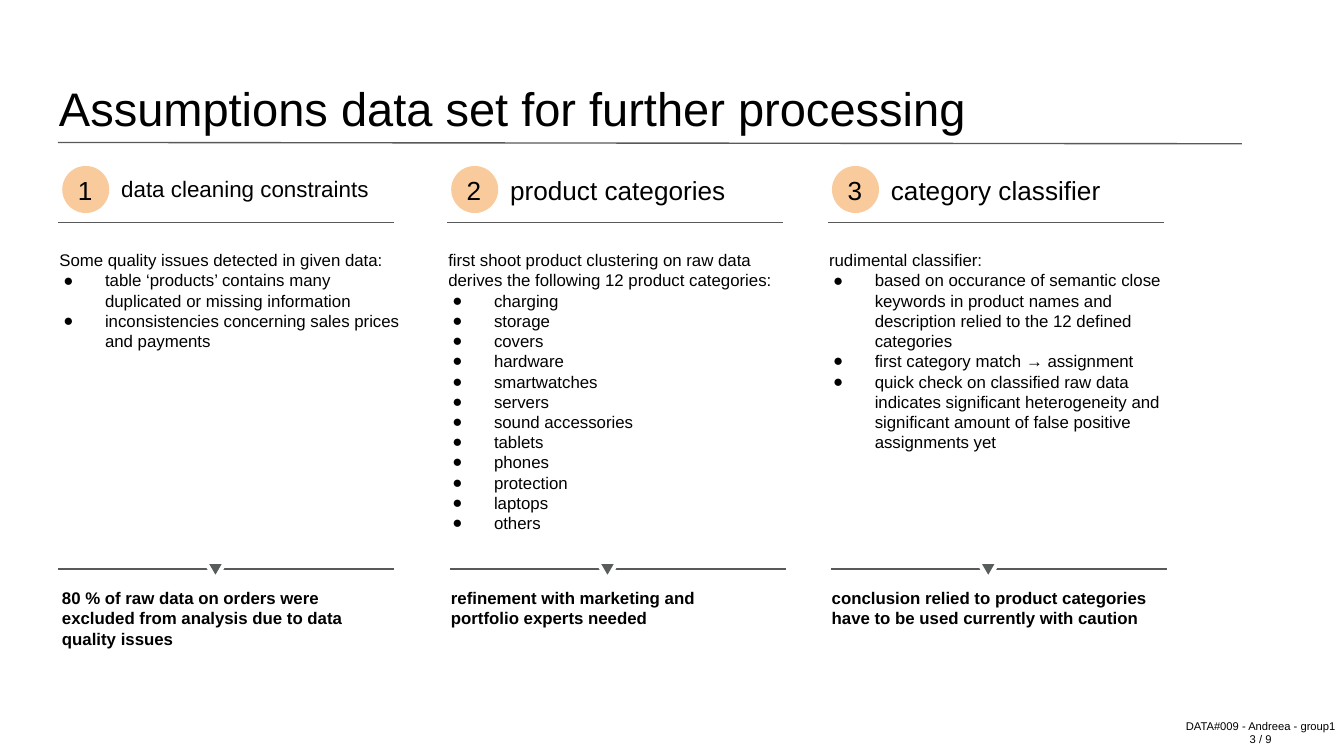
from lxml.etree import SubElement
from pptx import Presentation
from pptx.dml.color import RGBColor as Color
from pptx.enum.shapes import MSO_CONNECTOR as Link, MSO_SHAPE as Form
from pptx.enum.text import MSO_ANCHOR as Anchor, MSO_AUTO_SIZE as Fit, PP_ALIGN as Align
from pptx.oxml.ns import qn
from pptx.util import Inches, Pt

COLORS = {"text": "000000", "rule": "595959", "marker": "595C5D",
          "badge": "F9CB9C", "page": "FFFFFF"}
FONT = "Arial"
COLUMNS, ROWS = 100, 56.25  # square grid cells of a tenth of an inch
CELL = Inches(0.1)


def cells(*counts):
    return [round(count * CELL) for count in counts]


def color(name):
    return Color.from_string(COLORS[name])


def write(para, text, size=9, bold=False, align=Align.LEFT, bullet=False):
    """Fill one paragraph with formatted text."""
    para.alignment = align
    if bullet:
        props = para._p.get_or_add_pPr()
        props.set("marL", str(Inches(0.34)))
        props.set("indent", str(Inches(-0.31)))
        tint = SubElement(props, qn("a:buClr"))
        SubElement(tint, qn("a:srgbClr"), val=COLORS["text"])
        SubElement(props, qn("a:buSzPts"), val=str(size * 100))
        SubElement(props, qn("a:buFont"), typeface=FONT)
        SubElement(props, qn("a:buChar"), char="●")
    span = para.add_run()
    span.text = text
    span.font.name = FONT
    span.font.size = Pt(size)
    span.font.bold = bold
    span.font.color.rgb = color("text")


class Sheet:
    """Holds the style and the current slide; lengths are grid cells."""

    def __init__(self, deck):
        self.page = deck.slides.add_slide(deck.slide_layouts[6])
        self.page.background.fill.solid()
        self.page.background.fill.fore_color.rgb = color("page")

    def text(self, left, top, width, height, lines, bullets=(),
             anchor=Anchor.TOP, fit=Fit.SHAPE_TO_FIT_TEXT, **style):
        box = self.page.shapes.add_textbox(*cells(left, top, width, height))
        frame = box.text_frame
        frame.word_wrap = True
        frame.auto_size = fit
        frame.vertical_anchor = anchor
        frame.margin_left = frame.margin_right = CELL
        frame.margin_top = frame.margin_bottom = CELL
        for index, line in enumerate([*lines, *bullets]):
            para = frame.add_paragraph() if index else frame.paragraphs[0]
            write(para, line, bullet=index >= len(lines), **style)

    def rule(self, left, top, right, bottom):
        line = self.page.shapes.add_connector(
            Link.STRAIGHT, *cells(left, top, right, bottom))
        line.line.color.rgb = color("rule")
        line.line.width = Pt(0.75)
        SubElement(line._element.spPr, qn("a:effectLst"))

    def shape(self, form, left, top, width, height, fill, outline=None, turn=0):
        shape = self.page.shapes.add_shape(form, *cells(left, top, width, height))
        shape.shadow.inherit = False
        shape.rotation = turn
        shape.fill.solid()
        shape.fill.fore_color.rgb = color(fill)
        if outline:
            shape.line.color.rgb = color(outline)
            shape.line.width = Pt(2.25)
        else:
            shape.line.fill.background()

    def column(self, number, left, foot, heading, size, intro, bullets, note):
        # Numbered heading
        self.rule(left, 16.55, left + 25, 16.55)
        self.text(left + 3.7, 12, 21.9, 4.4, [heading], size=size)
        self.shape(Form.OVAL, left + 0.3, 12.35, 3.5, 3.5, "badge")
        self.text(left - 0.1, 12, 4.2, 4.4, [str(number)], size=14,
                  align=Align.CENTER)
        # Details
        body_height = 2 + 1.5 * (len(bullets) + 2)
        self.text(left - 0.9, 17.6, 27.9, body_height, [intro], bullets)
        # Conclusion below a rule with a marker
        self.rule(foot, 42.35, foot + 25, 42.35)
        self.shape(Form.ISOSCELES_TRIANGLE, foot + 10.95, 41.8, 1.5, 1.3,
                   "marker", outline="page", turn=180)
        self.text(left - 0.7, 42.75, 25.4, 5, [note], bold=True)


TOPICS = [
    (4.33, 4.33, "data cleaning constraints", 12,
     "Some quality issues detected in given data:",
     ["table ‘products’ contains many duplicated or missing information",
      "inconsistencies concerning sales prices and payments"],
     "80 % of raw data on orders were excluded from analysis due to data "
     "quality issues"),
    (33.27, 33.5, "product categories", 14,
     "first shoot product clustering on raw data derives the following 12 "
     "product categories:",
     ["charging", "storage", "covers", "hardware", "smartwatches", "servers",
      "sound accessories", "tablets", "phones", "protection", "laptops",
      "others"],
     "refinement with marketing and portfolio experts needed"),
    (61.6, 61.83, "category classifier", 14,
     "rudimental classifier:",
     ["based on occurance of semantic close keywords in product names and "
      "description relied to the 12 defined categories",
      "first category match → assignment",
      "quick check on classified raw data indicates significant heterogeneity "
      "and significant amount of false positive assignments yet"],
     "conclusion relied to product categories have to be used currently with "
     "caution"),
]


def main():
    deck = Presentation()
    deck.slide_width, deck.slide_height = cells(COLUMNS, ROWS)
    sheet = Sheet(deck)
    # Title
    sheet.text(3.4, 4.8, 93.2, 6.3,
               ["Assumptions data set for further processing"],
               size=25.2, anchor=Anchor.BOTTOM, fit=Fit.NONE)
    sheet.rule(4.3, 10.6, 92.4, 10.7)
    # Three topics
    for number, topic in enumerate(TOPICS, start=1):
        sheet.column(number, *topic)
    # Footer
    sheet.text(86.3, 52.5, 15, 4, ["DATA#009 - Andreea - group1", "3 / 9"],
               size=6, align=Align.CENTER)
    deck.save("out.pptx")


if __name__ == "__main__":
    main()
